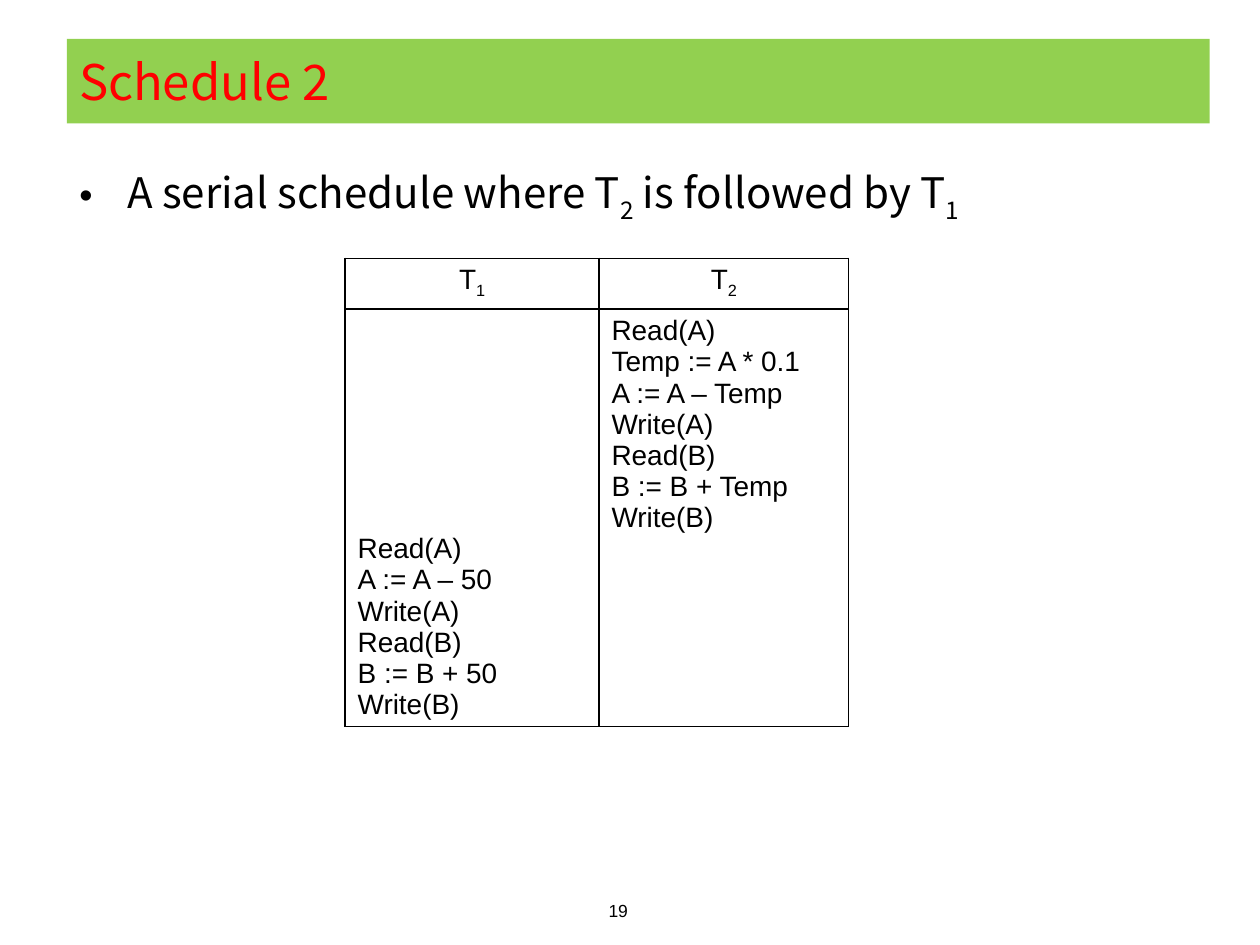
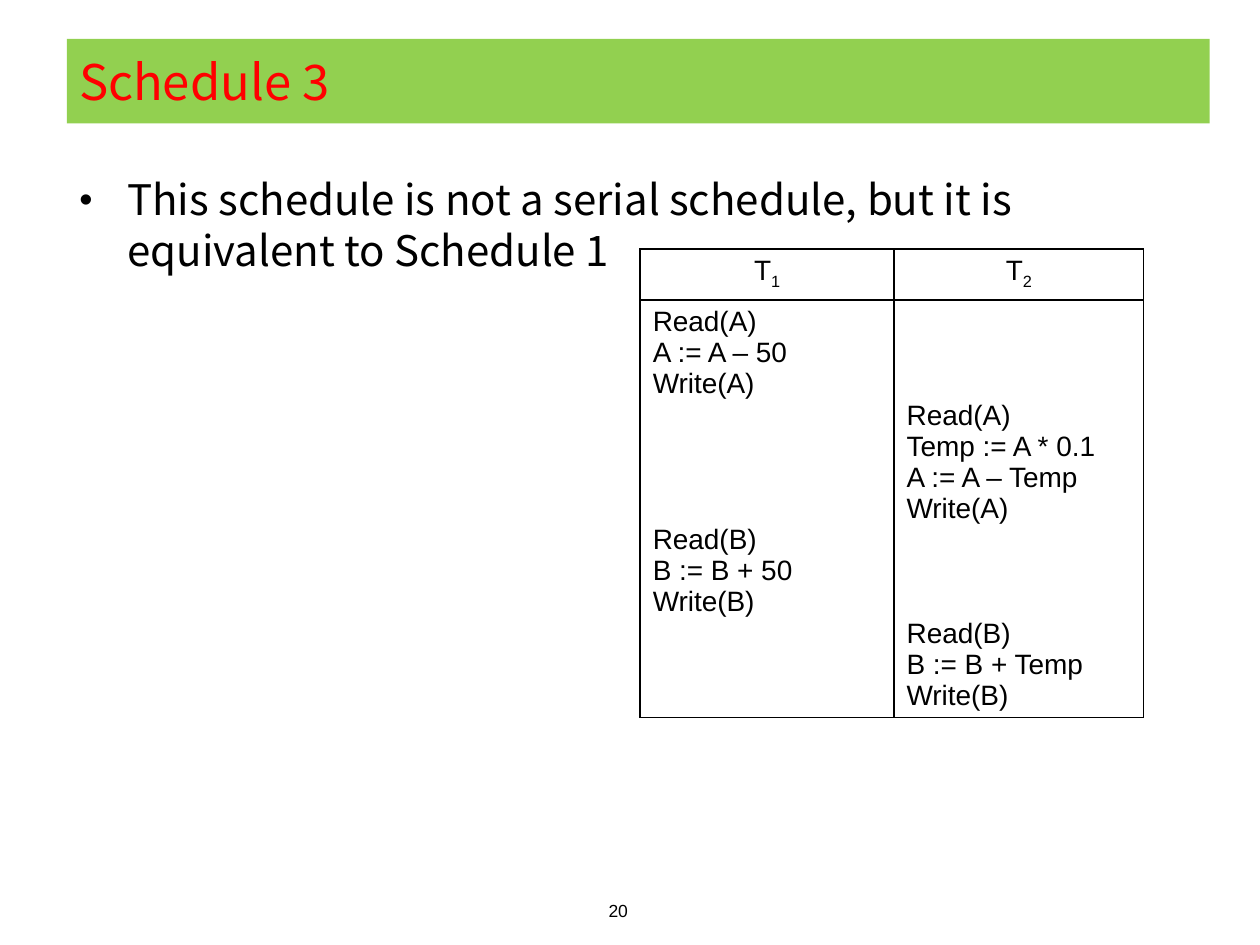
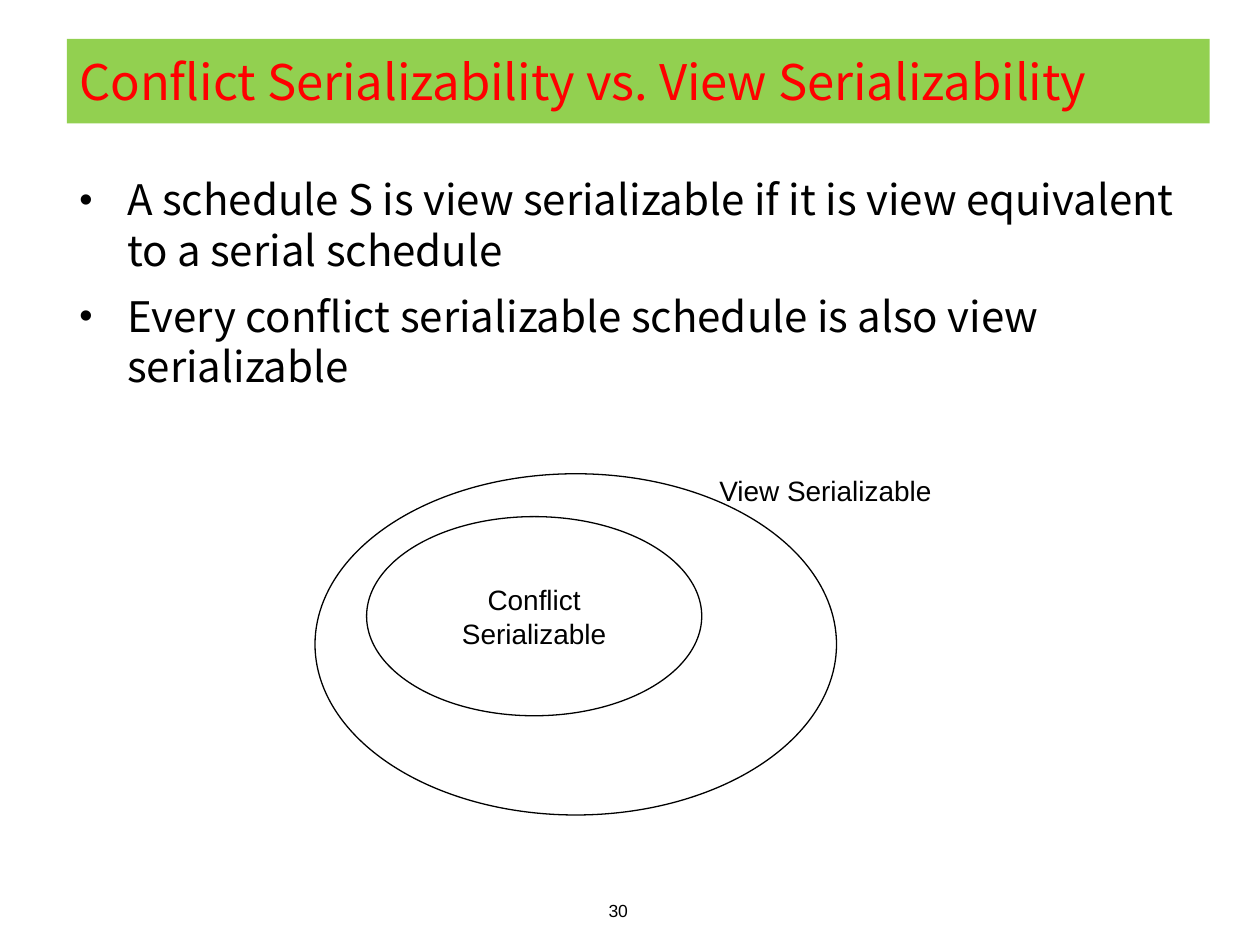
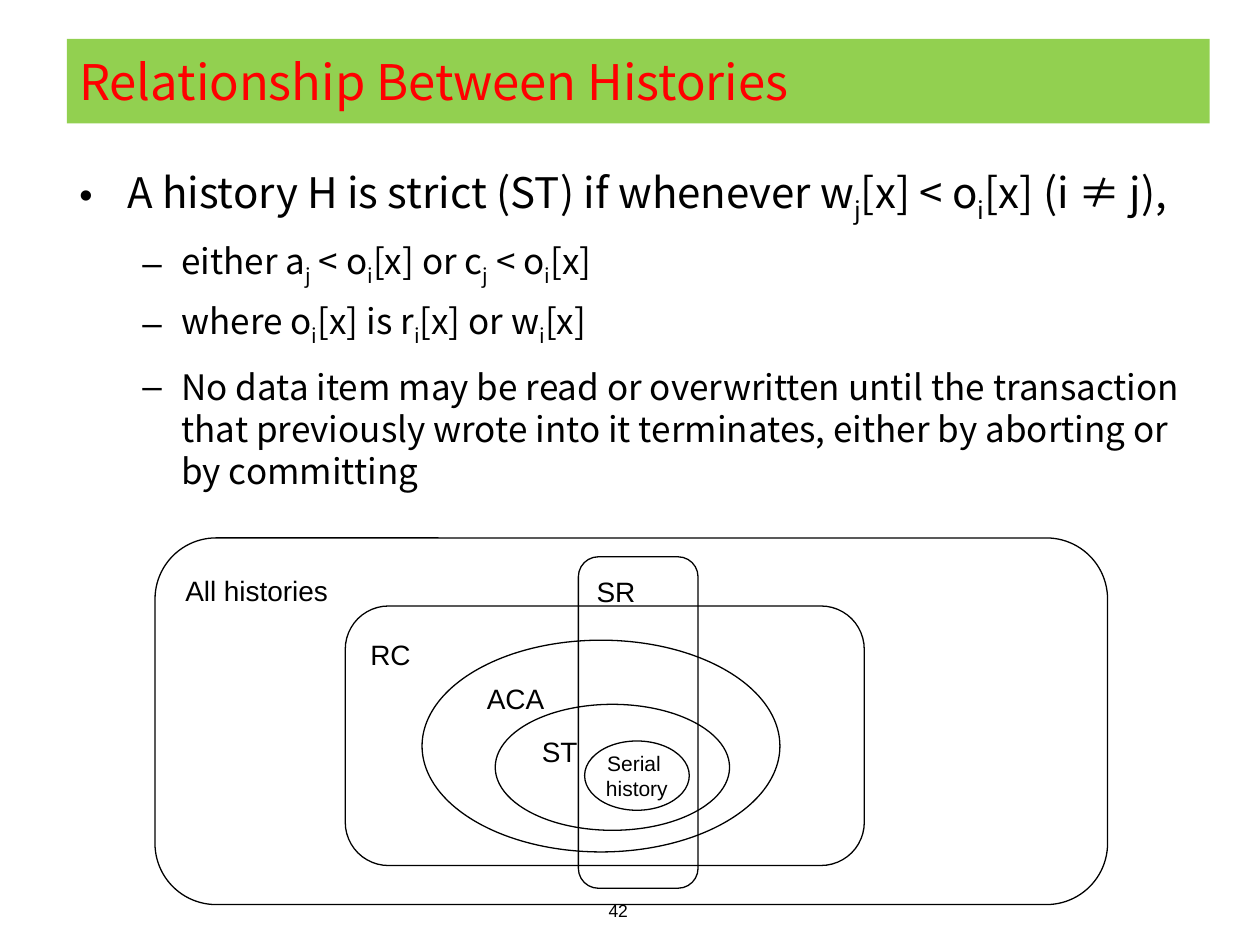
from dataclasses import dataclass

from lxml import etree
from pptx import Presentation, oxml
from pptx.dml.color import RGBColor
from pptx.enum import shapes, text
from pptx.util import Pt


@dataclass(frozen=True)
class Theme:
    black: RGBColor = RGBColor(0, 0, 0)
    white: RGBColor = RGBColor(255, 255, 255)
    band: RGBColor = RGBColor(0x92, 0xD0, 0x50)
    title: RGBColor = RGBColor(255, 0, 0)
    heading_font: str = "Noto Sans CJK KR"
    label_font: str = "Arial"
    title_size: float = 28
    body_sizes: tuple = (24, 20)
    label_size: float = 16
    small_size: float = 12
    footer_size: float = 10
    step_pitch: float = 17.8
    outline: float = 0.75
    border: float = 1


theme = Theme()
LEFT, CENTER = text.PP_ALIGN.LEFT, text.PP_ALIGN.CENTER
OVAL = shapes.MSO_SHAPE.OVAL
ROUNDED = shapes.MSO_SHAPE.ROUNDED_RECTANGLE


def write(frame, lines, size, font=theme.label_font, color=theme.black, align=LEFT):
    """Fill a text frame, one paragraph a line; "_" lowers the next character."""
    for number, line in enumerate(lines):
        paragraph = frame.add_paragraph() if number else frame.paragraphs[0]
        paragraph.alignment = align
        paragraph.font.name = font
        paragraph.font.size = Pt(size)
        paragraph.font.color.rgb = color
        plain, *lowered = line.split("_")
        paragraph.add_run().text = plain
        for part in lowered:
            subscript = paragraph.add_run()
            subscript.text = part[0]
            subscript.font._element.set("baseline", "-25000")
            if part[1:]:
                paragraph.add_run().text = part[1:]


def add_region(slide, kind, box, lines=(), size=theme.label_size, drop=None, filled=True):
    """Outline a set; drop is the gap above a corner label, else text is centred."""
    region = slide.shapes.add_shape(kind, *map(Pt, box))
    region.shadow.inherit = False
    region.line.color.rgb = theme.black
    region.line.width = Pt(theme.outline)
    if filled:
        region.fill.solid()
        region.fill.fore_color.rgb = theme.white
    else:
        region.fill.background()
    frame = region.text_frame
    frame.word_wrap = drop is not None
    if drop is None:
        frame.vertical_anchor = text.MSO_ANCHOR.MIDDLE
    else:
        frame.vertical_anchor = text.MSO_ANCHOR.TOP
        frame.margin_top = Pt(drop)
    write(frame, lines, size, align=CENTER if drop is None else LEFT)


presentation = Presentation()
presentation.slide_width, presentation.slide_height = Pt(720), Pt(540)

# Page number, title, and points as (level, text)
pages = [
    (19, "Schedule 2", [(0, "A serial schedule where T_2 is followed by T_1")]),
    (20, "Schedule 3", [
        (0, "This schedule is not a serial schedule, but it is equivalent to Schedule 1")]),
    (30, "Conflict Serializability vs. View Serializability", [
        (0, "A schedule S is view serializable if it is view equivalent to a serial schedule"),
        (0, "Every conflict serializable schedule is also view serializable")]),
    (42, "Relationship Between Histories", [
        (0, "A history H is strict (ST) if whenever w_j[x] < o_i[x] (i ≠ j),"),
        (1, "either a_j < o_i[x] or c_j < o_i[x]"),
        (1, "where o_i[x] is r_i[x] or w_i[x]"),
        (1, "No data item may be read or overwritten until the transaction that "
            "previously wrote into it terminates, either by aborting or by committing")]),
]
# Bullet, its size in percent, indent, hanging, space before, space after
levels = [("•", 90, 27.4, 27.4, 0, 9), ("–", 100, 58.3, 22.3, 3, 7.3)]

slides = []
for page_number, heading, points in pages:
    slide = presentation.slides.add_slide(presentation.slide_layouts[6])
    slides.append(slide)

    footer = slide.shapes.add_textbox(Pt(340), Pt(510.5), Pt(26.6), Pt(19.4))
    footer.text_frame.word_wrap = False
    write(footer.text_frame, [str(page_number)], theme.footer_size, align=CENTER)

    band = slide.shapes.add_shape(
        shapes.MSO_SHAPE.RECTANGLE, Pt(38.2), Pt(22.3), Pt(653), Pt(48.2))
    band.shadow.inherit = False
    band.fill.solid()
    band.fill.fore_color.rgb = theme.band
    band.line.fill.background()
    band.text_frame.vertical_anchor = text.MSO_ANCHOR.MIDDLE
    write(band.text_frame, [heading], theme.title_size, theme.heading_font, theme.title)

    body = slide.shapes.add_textbox(Pt(38.2), Pt(94.3), Pt(653.8), Pt(402.5)).text_frame
    body.word_wrap = True
    body.margin_top = Pt(5)
    write(body, [point for _, point in points], theme.body_sizes[0], theme.heading_font)
    for paragraph, (level, _) in zip(body.paragraphs, points):
        bullet, percent, indent, hanging, before, after = levels[level]
        size = theme.body_sizes[level]
        properties = paragraph._p.get_or_add_pPr()
        properties.set("marL", str(Pt(indent)))
        properties.set("indent", str(-Pt(hanging)))
        bullet_parts = [("buSzPct", "val", str(percent * 1000)),
                        ("buFont", "typeface", theme.label_font),
                        ("buChar", "char", bullet)]
        for place, (tag, key, value) in enumerate(bullet_parts):
            part = etree.Element(oxml.ns.qn("a:" + tag))
            part.set(key, value)
            properties.insert(place, part)
        paragraph.level = level
        paragraph.font.size = Pt(size)
        paragraph.line_spacing = Pt(size * 1.2)
        paragraph.space_before = Pt(before)
        paragraph.space_after = Pt(after)

serial_schedule, interleaved_schedule, serializability, histories = slides

# Schedules: each turn names the column of a transaction and its steps
debit_a = ["Read(A)", "A := A – 50", "Write(A)"]
credit_b = ["Read(B)", "B := B + 50", "Write(B)"]
tax_a = ["Read(A)", "Temp := A * 0.1", "A := A – Temp", "Write(A)"]
tax_b = ["Read(B)", "B := B + Temp", "Write(B)"]
schedules = [
    (serial_schedule, 197.2, 147.6, [(1, tax_a + tax_b), (0, debit_a + credit_b)]),
    (interleaved_schedule, 365.8, 142.4,
     [(0, debit_a), (1, tax_a), (0, credit_b), (1, tax_b)]),
]
for slide, left, top, turns in schedules:
    step_count = sum(len(steps) for _, steps in turns)
    heights = 27.4, step_count * theme.step_pitch + 7.2
    widths = 145.1, 142.6
    table = slide.shapes.add_table(
        2, 2, Pt(left), Pt(top), Pt(sum(widths)), Pt(sum(heights))).table
    table.first_row = table.horz_banding = False
    for index in range(2):
        table.rows[index].height = Pt(heights[index])
        table.columns[index].width = Pt(widths[index])

        write(table.cell(0, index).text_frame, [f"T_{index + 1}"],
              theme.label_size, align=CENTER)
        own_steps = [step for column, steps in turns if column == index for step in steps]
        steps_cell = table.cell(1, index)
        write(steps_cell.text_frame, own_steps, theme.label_size)
        paragraphs = iter(steps_cell.text_frame.paragraphs)
        waiting = 0
        started = False
        for column, steps in turns:
            if column != index:
                waiting += len(steps)
                continue
            for _ in steps:
                paragraph = next(paragraphs)
                paragraph.line_spacing = Pt(theme.step_pitch)
                if started:
                    paragraph.space_before = Pt(waiting * theme.step_pitch)
                else:
                    steps_cell.margin_top = Pt(3.6 + waiting * theme.step_pitch)
                started, waiting = True, 0

    for cell in table.iter_cells():
        for side in "LRTB":
            edge = etree.SubElement(
                cell._tc.get_or_add_tcPr(), oxml.ns.qn("a:ln" + side),
                w=str(Pt(theme.border)))
            fill = etree.SubElement(edge, oxml.ns.qn("a:solidFill"))
            etree.SubElement(fill, oxml.ns.qn("a:srgbClr"), val=str(theme.black))
        cell.fill.background()

# Conflict serializable schedules lie within the view serializable ones
add_region(serializability, OVAL, (180, 270.7, 298, 195))
add_region(serializability, OVAL, (209.5, 295.2, 191.5, 113.8), ["Conflict", "Serializable"])
view_label = serializability.shapes.add_textbox(Pt(404), Pt(267), Pt(146.2), Pt(26.6))
view_label.text_frame.word_wrap = True
write(view_label.text_frame, ["View Serializable"], theme.label_size)

# Nested classes of histories, with SR cutting across them
for kind, box, label, drop in [
    (ROUNDED, (88.6, 307.4, 544.3, 209.5), "All histories", 10),
    (ROUNDED, (197.3, 346.3, 296.6, 148.3), "RC", 11),
    (OVAL, (241.2, 365.8, 204.5, 121), "ACA", 6),
    (OVAL, (283, 402.5, 133.9, 72), "ST", 7),
]:
    add_region(histories, kind, box, [label], drop=drop)
add_region(histories, OVAL, (334.1, 423.4, 59.8, 39.6), ["Serial ", "history"],
           theme.small_size)
add_region(histories, ROUNDED, (330.5, 318.2, 68.4, 189.4), ["SR"], drop=7, filled=False)

presentation.save("out.pptx")
